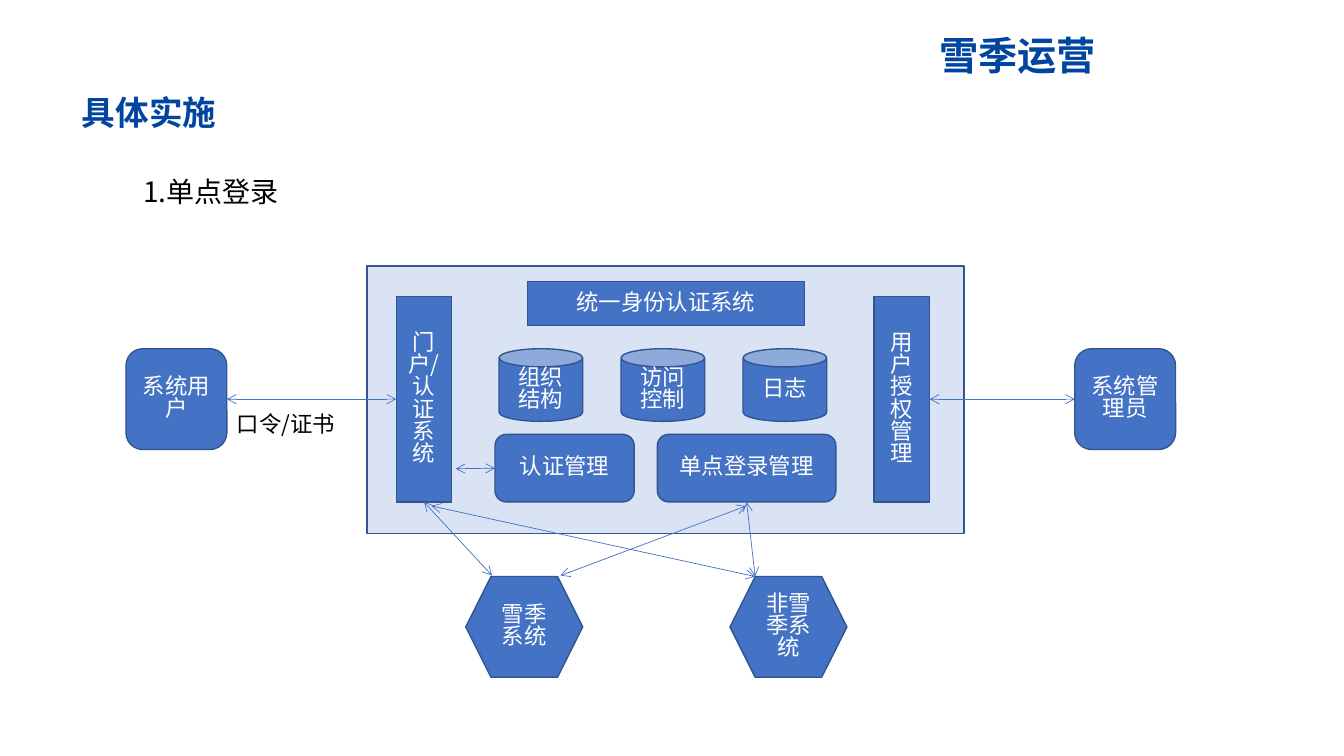
from lxml import etree
from pptx import Presentation
from pptx.dml.color import RGBColor
from pptx.enum.shapes import MSO_CONNECTOR, MSO_SHAPE
from pptx.enum.text import MSO_ANCHOR, MSO_AUTO_SIZE, PP_ALIGN
from pptx.oxml.ns import qn
from pptx.util import Inches, Pt

CJK = "Noto Sans CJK SC"
BLUE, EDGE, PALE, NAVY, WHITE, BLACK = "4472C4", "325491", "DAE3F3", "0046A0", "FFFFFF", "000000"

MID_Y, BASE_Y, HEX_Y = 3.96, 4.98, 5.72
SIDE, BAR_W, BAR_H = 1, 0.55, 2.04
CAN_X, CAN_STEP, CAN_Y = 4.95, 1.21, 3.46

labels = [
    ("具体实施", (0, 0.78, 2.96, 0.58),
     dict(size=24, color=NAVY, bold=True, name="Arial", align=PP_ALIGN.CENTER, spacing=1.2)),
    ("雪季运营", (9.22, 0.34, 1.77, 0.57), dict(size=28, color=NAVY, bold=True)),
    ("1.单点登录", (1.32, 1.74, 1.59, 0.44), dict(size=20, color=BLACK)),
    ("口令/证书", (2.25, 4.06, 1.38, 0.37), dict(size=16, color=BLACK)),
]
cans = ["组织结构", "访问控制", "日志"]
boxes = [
    ("", MSO_SHAPE.FLOWCHART_PROCESS, (3.64, 2.64, 5.92, 2.65)),
    ("系统用户", MSO_SHAPE.ROUNDED_RECTANGLE, (1.25, MID_Y - SIDE / 2, SIDE, SIDE)),
    ("系统管理员", MSO_SHAPE.ROUNDED_RECTANGLE, (10.66, MID_Y - SIDE / 2, SIDE, SIDE)),
    ("雪季系统", MSO_SHAPE.HEXAGON, (4.62, HEX_Y, 1.16, SIDE)),
    ("非雪季系统", MSO_SHAPE.HEXAGON, (7.24, HEX_Y, 1.16, SIDE)),
    ("门户/认证系统", MSO_SHAPE.RECTANGLE, (3.93, BASE_Y - BAR_H, BAR_W, BAR_H)),
    ("用户授权管理", MSO_SHAPE.RECTANGLE, (8.67, BASE_Y - BAR_H, BAR_W, BAR_H)),
    ("统一身份认证系统", MSO_SHAPE.RECTANGLE, (5.23, 2.79, 2.75, 0.44)),
    ("认证管理", MSO_SHAPE.FLOWCHART_ALTERNATE_PROCESS, (4.91, 4.31, 1.38, 0.67)),
    ("单点登录管理", MSO_SHAPE.FLOWCHART_ALTERNATE_PROCESS, (6.52, 4.31, 1.77, 0.67)),
] + [(text, MSO_SHAPE.CAN, (CAN_X + i * CAN_STEP, CAN_Y, 0.83, 0.72)) for i, text in enumerate(cans)]
arrows = [
    ((4.52, 4.65), (4.91, 4.65), None, ("认证管理", 1)),
    ((4.21, BASE_Y), (4.88, 5.71), ("门户/认证系统", 2), None),
    ((4.28, 5.02), (7.49, HEX_Y), None, None),
    ((7.4, BASE_Y), (7.49, HEX_Y), ("单点登录管理", 2), None),
    ((7.4, 5.02), (5.56, 5.71), None, None),
    ((2.25, MID_Y), (3.93, MID_Y), ("系统用户", 3), ("门户/认证系统", 1)),
    ((9.22, MID_Y), (10.66, MID_Y), ("用户授权管理", 3), ("系统管理员", 1)),
]


def rgb(value):
    return RGBColor.from_string(value)


def inches(values):
    return [Inches(v) for v in values]


def write(tf, text, size, color, bold=False, name=CJK, align=PP_ALIGN.LEFT, spacing=0.83):
    tf.word_wrap = True
    p = tf.paragraphs[0]
    p.alignment, p.line_spacing = align, spacing
    r = p.add_run()
    r.text = text
    for key, value in dict(size=Pt(size), bold=bold, name=name).items():
        setattr(r.font, key, value)
    r.font.color.rgb = rgb(color)
    etree.SubElement(r.font._element, qn("a:ea"), typeface=CJK)


def add_box(s, text, kind, at):
    sp = s.shapes.add_shape(kind, *inches(at))
    sp.shadow.inherit = False
    sp.fill.solid()
    sp.fill.fore_color.rgb = rgb(BLUE if text else PALE)
    sp.line.color.rgb = rgb(EDGE)
    sp.line.width = Pt(1)
    if text:
        sp.text_frame.vertical_anchor = MSO_ANCHOR.MIDDLE
        write(sp.text_frame, text, 16, WHITE, align=PP_ALIGN.CENTER)
    return sp


def add_arrow(s, start, end, source, target, nodes):
    c = s.shapes.add_connector(MSO_CONNECTOR.STRAIGHT, *inches(start + end))
    if source:
        c.begin_connect(nodes[source[0]], source[1])
    if target:
        c.end_connect(nodes[target[0]], target[1])
    c.line.color.rgb = rgb(BLUE)
    c.line.width = Pt(0.5)
    for tag in ("a:headEnd", "a:tailEnd"):
        etree.SubElement(c.line._get_or_add_ln(), qn(tag), type="arrow")
    etree.SubElement(c._element.spPr, qn("a:effectLst"))


def main():
    prs = Presentation()
    prs.slide_width, prs.slide_height = inches((13.33, 7.5))
    s = prs.slides.add_slide(prs.slide_layouts[6])
    nodes = {text: add_box(s, text, kind, at) for text, kind, at in boxes}
    for arrow in arrows:
        add_arrow(s, *arrow, nodes)
    for text, at, style in labels:
        tf = s.shapes.add_textbox(*inches(at)).text_frame
        tf.auto_size = MSO_AUTO_SIZE.SHAPE_TO_FIT_TEXT
        write(tf, text, **style)
    prs.save("out.pptx")


if __name__ == "__main__":
    main()
